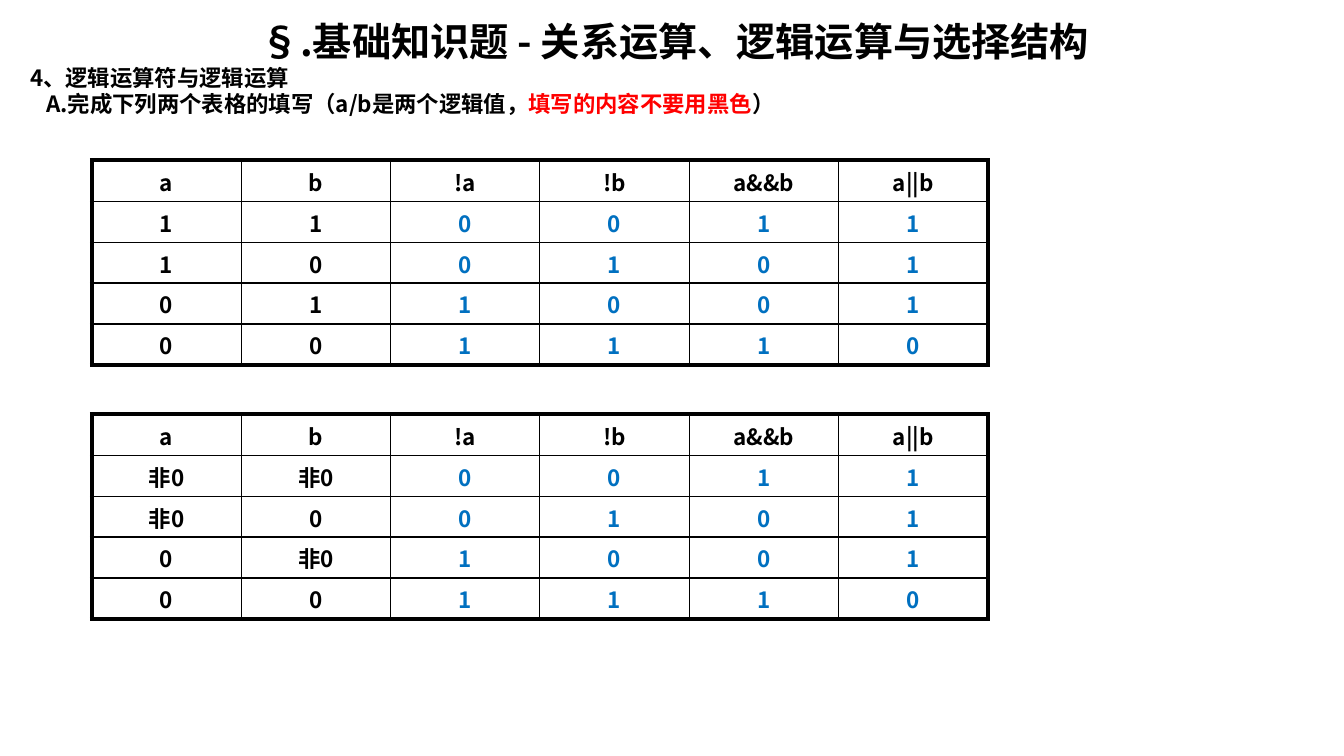
from dataclasses import dataclass

from lxml import etree
from pptx import Presentation, util as u
from pptx.dml.color import RGBColor
from pptx.enum import text
from pptx.oxml.ns import qn

PX = 9144


@dataclass(frozen=True)
class Theme:
    font: str = "Noto Sans CJK SC"
    ink: str = "000000"
    paper: str = "FFFFFF"
    alert: str = "FF0000"
    answer: str = "0070C0"
    title: int = 28
    body: int = 16
    frame: int = 3
    rule: int = 1


THEME = Theme()
HEAD = ["a", "b", "!a", "!b", "a&&b", "a||b"]
GIVEN = 2
ANSWERS = ["0011", "0101", "1001", "1100"]


def px(n):
    return u.Emu(n * PX)


def add_run(para, words, size, color):
    run = para.add_run()
    run.text = words
    font = run.font
    font.name, font.size, font.bold = THEME.font, u.Pt(size), True
    font.color.rgb = RGBColor.from_string(color)
    east = etree.SubElement(run._r.get_or_add_rPr(), qn("a:ea"))
    east.set("typeface", THEME.font)


def add_lines(slide, box, lines):
    frame = slide.shapes.add_textbox(*map(px, box)).text_frame
    frame.word_wrap = True
    for i, (align, indent, size, runs) in enumerate(lines):
        para = frame.add_paragraph() if i else frame.paragraphs[0]
        para.alignment = align
        para.line_spacing = 0.88
        para.space_before = u.Pt(2 if i else 0)
        if indent:
            para._p.get_or_add_pPr().set("marL", str(px(indent)))
        for words, color in runs:
            add_run(para, words, size, color)


def set_edges(cell, widths):
    props = cell._tc.get_or_add_tcPr()
    for side, width in zip("LRTB", widths):
        line = etree.SubElement(props, qn(f"a:ln{side}"), w=str(u.Pt(width)))
        fill = etree.SubElement(line, qn("a:solidFill"))
        etree.SubElement(fill, qn("a:srgbClr"), val=THEME.ink)


def add_grid(slide, box, rows):
    last, end = len(rows) - 1, len(HEAD) - 1
    table = slide.shapes.add_table(last + 1, end + 1, *map(px, box)).table
    table.first_row = table.horz_banding = False
    for r, row in enumerate(rows):
        for c, words in enumerate(row):
            cell = table.cell(r, c)
            outer = (c == 0, c == end, r == 0, r == last)
            set_edges(cell, [THEME.frame if o else THEME.rule for o in outer])
            cell.fill.solid()
            cell.fill.fore_color.rgb = RGBColor.from_string(THEME.paper)
            cell.vertical_anchor = text.MSO_ANCHOR.MIDDLE
            para = cell.text_frame.paragraphs[0]
            para.alignment = text.PP_ALIGN.CENTER
            color = THEME.answer if r and c >= GIVEN else THEME.ink
            add_run(para, words, THEME.body, color)


def truth_rows(yes):
    pairs = [(a, b) for a in (yes, "0") for b in (yes, "0")]
    results = ["0011", "0101", "1001", "1110"]
    return [HEAD] + [[*pair, *res] for pair, res in zip(pairs, results)]


def main():
    deck = Presentation()
    deck.slide_width, deck.slide_height = px(1333), px(750)
    slide = deck.slides.add_slide(deck.slide_layouts[6])
    left, mid = text.PP_ALIGN.LEFT, text.PP_ALIGN.CENTER
    ink = THEME.ink
    add_lines(slide, (20, 18, 1299, 709), [
        (mid, 0, THEME.title, [("§.基础知识题 - 关系运算、逻辑运算与选择结构", ink)]),
        (left, 0, THEME.body, [("4、逻辑运算符与逻辑运算", ink)]),
        (left, 16, THEME.body, [
            ("A.完成下列两个表格的填写（a/b是两个逻辑值，", ink),
            ("填写的内容不要用黑色", THEME.alert),
            ("）", ink),
        ]),
    ])
    for top, yes in ((159, "1"), (411, "非0")):
        add_grid(slide, (91, top, 889, 203), truth_rows(yes))
    deck.save("out.pptx")


if __name__ == "__main__":
    main()
